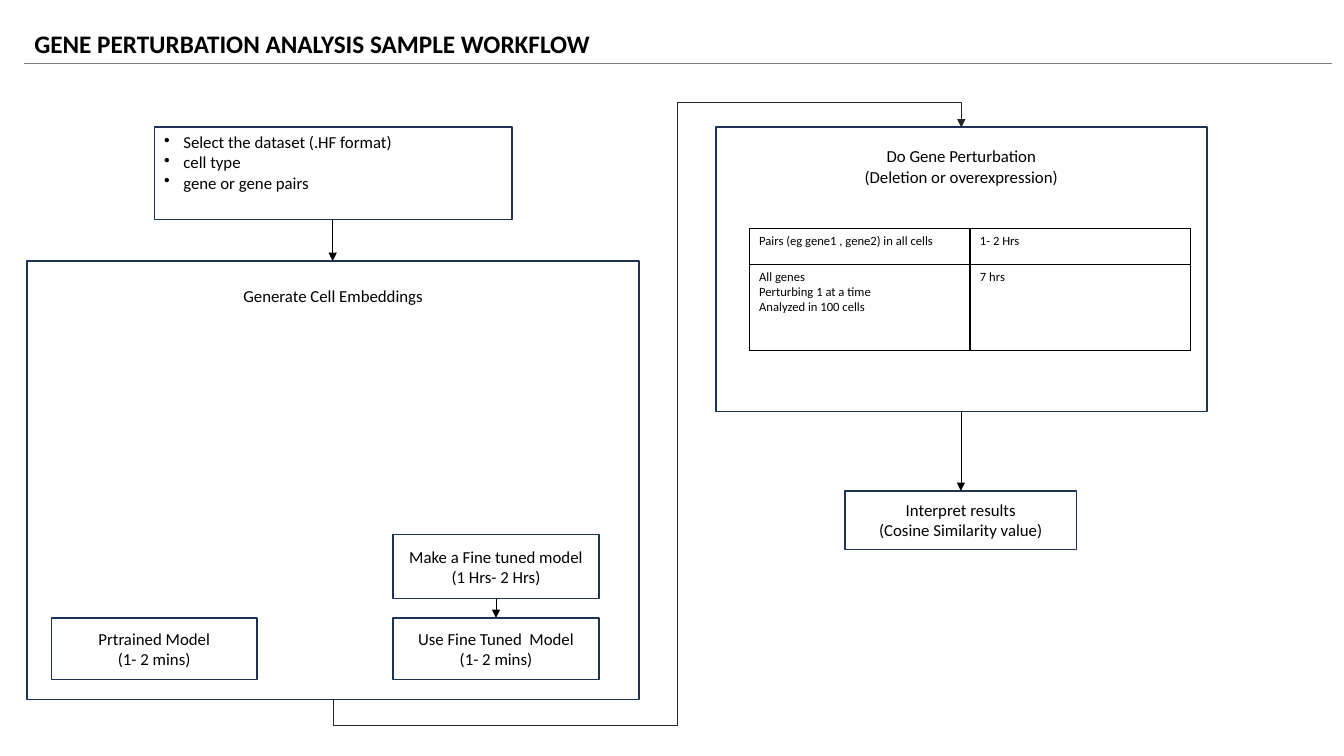
from pptx import Presentation
from pptx.dml.color import RGBColor
from pptx.enum.shapes import MSO_CONNECTOR as Connector, MSO_SHAPE as Shape
from pptx.enum.text import MSO_ANCHOR as Anchor, PP_ALIGN as Align
from pptx.oxml.ns import qn
from pptx.oxml.xmlchemy import OxmlElement
from pptx.util import Pt

PX = 9144  # EMU per px, 100 px to the inch
BLACK = RGBColor(0x00, 0x00, 0x00)
CHARCOAL = RGBColor(0x26, 0x26, 0x26)
GRAY = RGBColor(0x7F, 0x7F, 0x7F)
NAVY = RGBColor(0x1E, 0x32, 0x56)
WHITE = RGBColor(0xFF, 0xFF, 0xFF)


def write(frame, lines, size=12, bold=False, align=Align.LEFT, anchor=Anchor.TOP, top=5, bullet=False):
    frame.word_wrap = True
    frame.vertical_anchor = anchor
    frame.margin_top = top * PX
    for index, line in enumerate(lines):
        paragraph = frame.add_paragraph() if index else frame.paragraphs[0]
        paragraph.alignment = align
        run = paragraph.add_run()
        run.text = line
        run.font.name = "Calibri"
        run.font.size = Pt(size)
        run.font.bold = bold
        run.font.color.rgb = BLACK
        if bullet:
            properties = paragraph._p.get_or_add_pPr()
            properties.set("marL", str(19 * PX))
            properties.set("indent", str(-19 * PX))
            mark = OxmlElement("a:buChar")
            mark.set("char", "•")
            properties.append(mark)


def connect(kind, start, end, color=BLACK, arrow=True):
    ends = [value * PX for value in (*start, *end)]
    connector = slide.shapes.add_connector(kind, *ends)
    connector.line.color.rgb = color
    connector.line.width = Pt(0.5)
    if arrow:
        head = OxmlElement("a:tailEnd")
        head.set("type", "triangle")
        connector.line._get_or_add_ln().append(head)
    connector._element.spPr.append(OxmlElement("a:effectLst"))
    return connector


presentation = Presentation()
presentation.slide_width = 1333 * PX
presentation.slide_height = 750 * PX
slide = presentation.slides.add_slide(presentation.slide_layouts[5])

# Title and rule
title = slide.shapes.title
title.left, title.top, title.width, title.height = (value * PX for value in (24, 23, 667, 40))
write(title.text_frame, ["GENE PERTURBATION ANALYSIS SAMPLE WORKFLOW"],
      size=18, bold=True, anchor=Anchor.MIDDLE)
connect(Connector.STRAIGHT, (24, 63), (1321, 63), color=GRAY, arrow=False)

# Workflow boxes: place, lines, text format
heading = dict(align=Align.CENTER)
label = dict(align=Align.CENTER, anchor=Anchor.MIDDLE)
boxes = [
    ((153, 126, 355, 92), ["Select the dataset (.HF format)", "cell type", "gene or gene pairs"],
     dict(bullet=True)),
    ((710, 126, 487, 282), ["Do Gene Perturbation", "(Deletion or overexpression)"],
     dict(heading, top=19)),
    ((838, 487, 230, 58), ["Interpret results", "(Cosine Similarity value)"], label),
    ((27, 259, 607, 435), ["Generate Cell Embeddings"], dict(heading, top=24)),
    ((51, 613, 204, 61), ["Prtrained Model", "(1- 2 mins)"], label),
    ((390, 530, 204, 64), ["Make a Fine tuned model", "(1 Hrs- 2 Hrs)"], label),
    ((390, 613, 204, 61), ["Use Fine Tuned  Model", "(1- 2 mins)"], label),
]
for place, lines, text_format in boxes:
    box = slide.shapes.add_shape(Shape.RECTANGLE, *[value * PX for value in place])
    box.shadow.inherit = False
    box.fill.solid()
    box.fill.fore_color.rgb = WHITE
    box.line.color.rgb = NAVY
    box.line.width = Pt(1)
    write(box.text_frame, lines, **text_format)

# Straight arrows
for x, top, bottom in [(330, 218, 259), (953, 408, 487), (492, 594, 613)]:
    connect(Connector.STRAIGHT, (x, top), (x, bottom))

# Elbow arrow from the embeddings to the perturbation, turned a quarter
elbow = connect(Connector.ELBOW, (926, 722), (358, 99), color=CHARCOAL)
properties = elbow._element.spPr
properties.find(qn("a:xfrm")).set("rot", "5400000")
geometry = properties.find(qn("a:prstGeom"))
geometry.set("prst", "bentConnector5")
adjustments = geometry.find(qn("a:avLst"))
for number, value in enumerate((-4400, 54800, 104400), start=1):
    guide = OxmlElement("a:gd")
    guide.set("name", f"adj{number}")
    guide.set("fmla", f"val {value}")
    adjustments.append(guide)

# Table of run times
run_times = [
    [["Pairs (eg gene1 , gene2) in all cells"], ["1- 2 Hrs"]],
    [["All genes", "Perturbing 1 at a time", "Analyzed in 100 cells"], ["7 hrs"]],
]
table = slide.shapes.add_table(2, 2, 743 * PX, 227 * PX, 438 * PX, 121 * PX).table
table.first_row = table.horz_banding = False
for row, height in zip(table.rows, (35, 86)):
    row.height = height * PX
for row, texts in zip(table.rows, run_times):
    for cell, lines in zip(row.cells, texts):
        write(cell.text_frame, lines, size=9)
        cell_properties = cell._tc.get_or_add_tcPr()
        for side in ("lnL", "lnR", "lnT", "lnB"):
            border = OxmlElement(f"a:{side}")
            border.set("w", str(Pt(1)))
            fill = OxmlElement("a:solidFill")
            color = OxmlElement("a:srgbClr")
            color.set("val", str(BLACK))
            fill.append(color)
            border.append(fill)
            cell_properties.append(border)
        cell.fill.background()

presentation.save("out.pptx")
